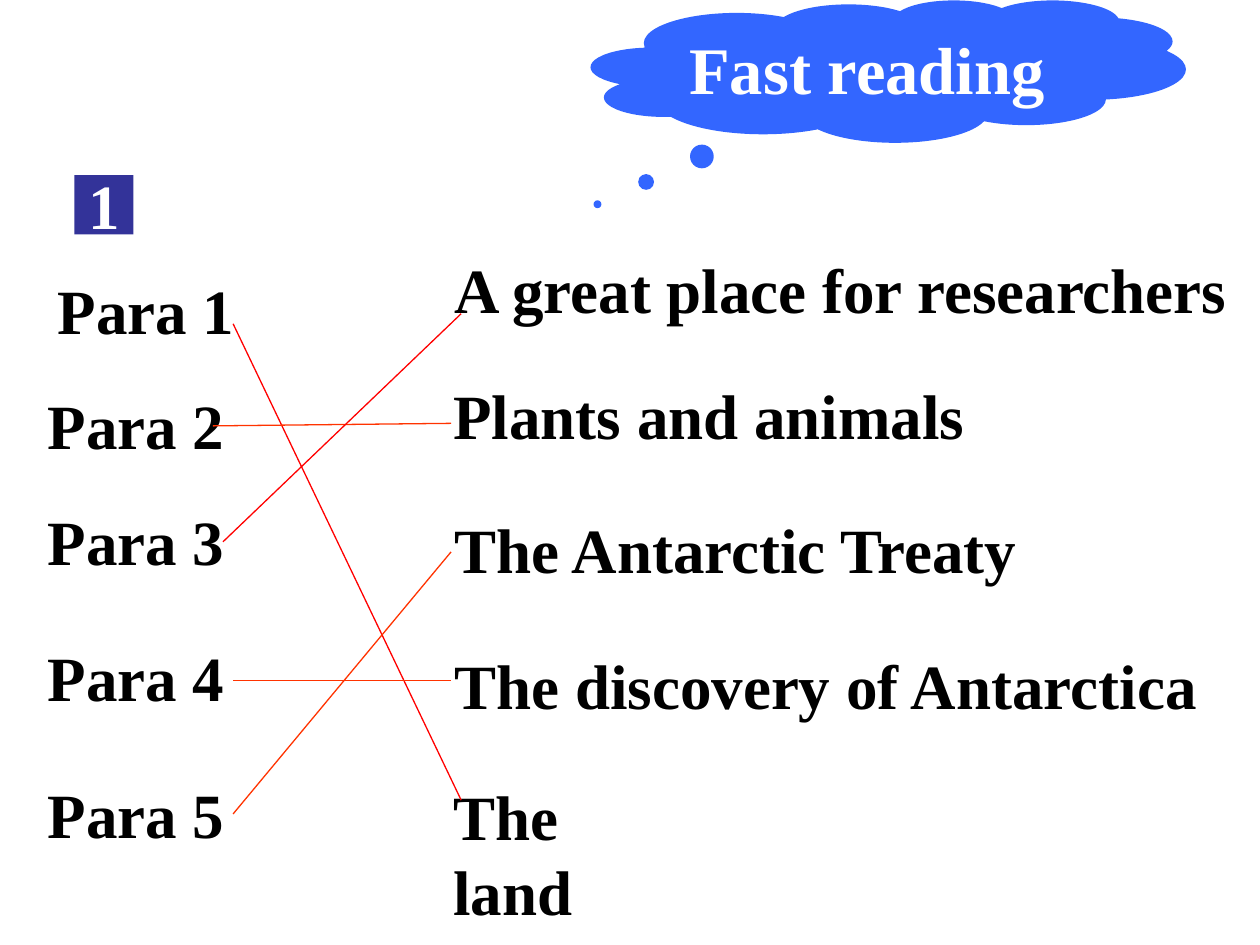
import pptx
import pptx.util
import pptx.dml.color
import pptx.enum.shapes
import pptx.enum.text
import pptx.oxml

WIDTH, HEIGHT = 10, 7.5
COLORS = {"ink": "000000", "light": "FFFFFF", "cloud": "3366FF",
          "badge": "333399", "red": "FF0000", "orange": "FF3300"}
FONT = "Times New Roman"
BODY_SIZE, HEADING_SIZE = 36, 38
ROW_HEIGHT = 0.7
PARA_WIDTH = 1.6

HEADING = "Fast reading"
BADGE = "1"
PARAS = [("Para 1", 0.36, 2.11), ("Para 2", 0.28, 3.02), ("Para 3", 0.28, 3.94),
         ("Para 4", 0.28, 5.02), ("Para 5", 0.28, 6.11)]
TOPICS = [("A great place for researchers", 3.51, 1.94, 6.39),
          ("Plants and animals", 3.5, 2.94, 4.38),
          ("The Antarctic Treaty", 3.51, 4, 4.88),
          ("The discovery of Antarctica", 3.51, 5.08, 6.25),
          ("The land", 3.5, 6.12, 2.1)]
MATCHES = [((1.85, 2.57), (3.66, 6.35), "red"),
           ((1.69, 3.38), (3.58, 3.36), "orange"),
           ((1.77, 4.3), (3.66, 2.49), "red"),
           ((1.85, 5.4), (3.58, 5.4), "orange"),
           ((1.85, 6.46), (3.58, 4.38), "orange")]


def inches(*values):
    return [pptx.util.Inches(value) for value in values]


def color(name):
    return pptx.dml.color.RGBColor.from_string(COLORS[name])


def write(frame, text, size, ink, align=pptx.enum.text.PP_ALIGN.LEFT, wrap=False,
          anchor=pptx.enum.text.MSO_ANCHOR.TOP):
    frame.word_wrap = wrap
    frame.vertical_anchor = anchor
    frame.text = text
    paragraph = frame.paragraphs[0]
    paragraph.alignment = align
    font = paragraph.runs[0].font
    font.name, font.size, font.bold = FONT, pptx.util.Pt(size), True
    font.color.rgb = color(ink)


def add_label(slide, text, left, top, width):
    label = slide.shapes.add_textbox(*inches(left, top, width, ROW_HEIGHT))
    write(label.text_frame, text, BODY_SIZE, "ink")
    label.text_frame.auto_size = pptx.enum.text.MSO_AUTO_SIZE.SHAPE_TO_FIT_TEXT


def add_match(slide, start, end, ink):
    match = slide.shapes.add_connector(
        pptx.enum.shapes.MSO_CONNECTOR.STRAIGHT, *inches(*start, *end))
    match.line.color.rgb = color(ink)
    match.line.width = pptx.util.Pt(0.75)
    properties = match._element.spPr
    properties.append(properties.makeelement(pptx.oxml.ns.qn("a:effectLst"), {}))


def add_filled(slide, preset, box, fill):
    shape = slide.shapes.add_shape(preset, *inches(*box))
    shape.shadow.inherit = False
    shape.fill.solid()
    shape.fill.fore_color.rgb = color(fill)
    shape.line.fill.background()
    return shape


def main():
    deck = pptx.Presentation()
    deck.slide_width, deck.slide_height = inches(WIDTH, HEIGHT)
    slide = deck.slides.add_slide(deck.slide_layouts.get_by_name("Blank"))
    shapes = pptx.enum.shapes.MSO_SHAPE
    center = pptx.enum.text.PP_ALIGN.CENTER

    for text, left, top in PARAS:
        add_label(slide, text, left, top, PARA_WIDTH)
    for topic in TOPICS:
        add_label(slide, *topic)
    for match in MATCHES:
        add_match(slide, *match)

    cloud = add_filled(slide, shapes.CLOUD_CALLOUT, (4.69, 0, 4.72, 1.13), "cloud")
    cloud.adjustments[0], cloud.adjustments[1] = -0.489, 0.935
    write(cloud.text_frame, HEADING, HEADING_SIZE, "light", center, wrap=True)

    badge = add_filled(slide, shapes.RECTANGLE, (0.59, 1.39, 0.47, 0.47), "badge")
    write(badge.text_frame, BADGE, BODY_SIZE, "light", center,
          anchor=pptx.enum.text.MSO_ANCHOR.MIDDLE)

    deck.save("out.pptx")


if __name__ == "__main__":
    main()
